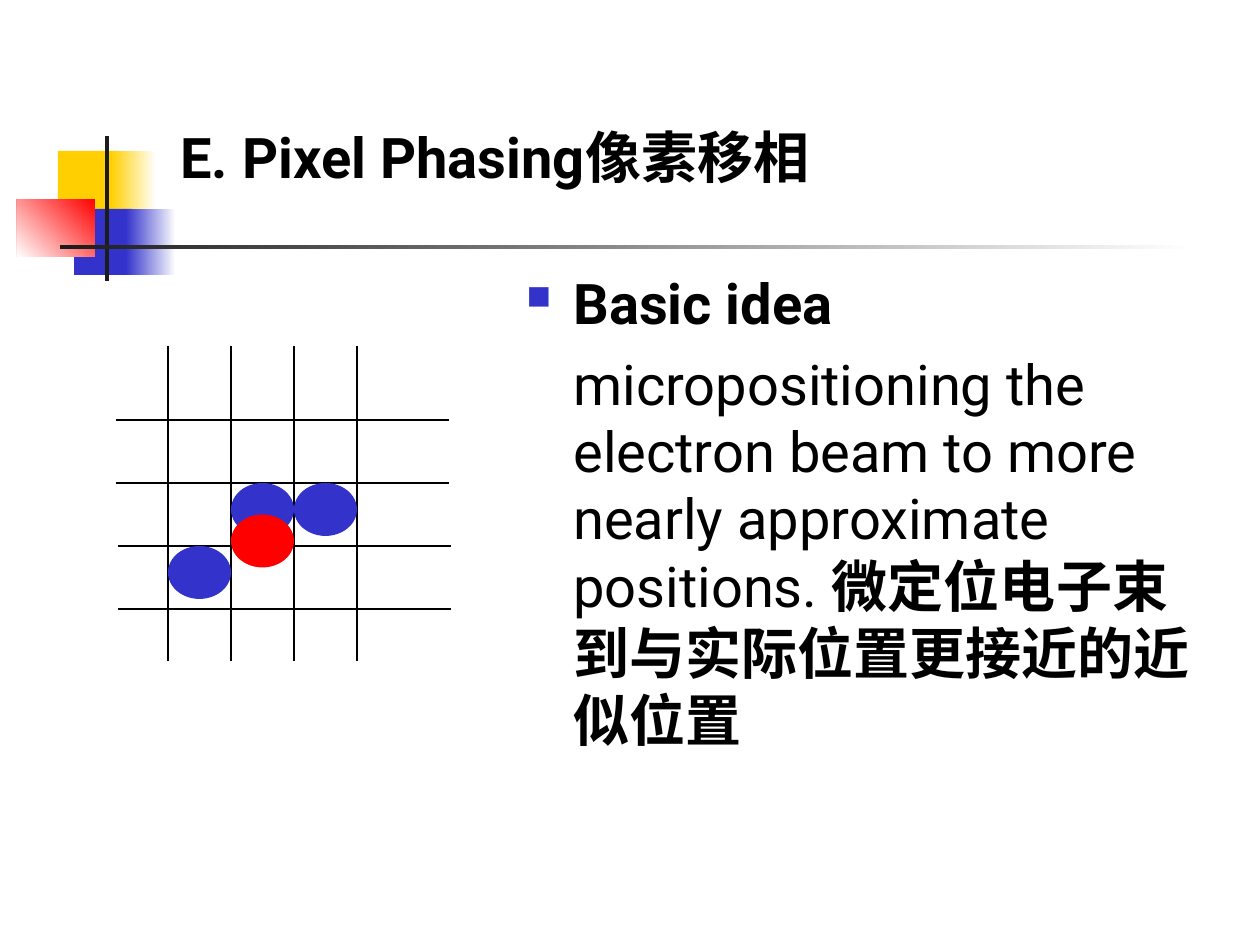
from lxml import etree
from pptx import Presentation
from pptx.dml.color import RGBColor
from pptx.enum.shapes import MSO_CONNECTOR as LINE, MSO_SHAPE as SHAPE
from pptx.enum.text import PP_ALIGN
from pptx.oxml.ns import qn
from pptx.util import Pt

COLORS = {"yellow": "FFCF01", "blue": "3333CC", "red": "FF0000",
          "dark": "1C1C1C", "white": "FFFFFF", "black": "000000"}
FONT = {"name": "Roboto", "size": Pt(32)}

# Content: each paragraph is a list of (text, bold) runs
TITLE = [[("E. Pixel Phasing像素移相", True)]]
BODY = [
    [("Basic idea", True)],
    [("micropositioning the electron beam to more nearly approximate positions. ", False),
     ("微定位电子束到与实际位置更接近的近似位置", True)],
]

# Corner ornament: box in px, colour, gradient angle to white (None is solid)
ORNAMENT = [
    ((58, 151, 60, 66), "yellow", None),
    ((111, 151, 45, 66), "yellow", 0),
    ((74, 209, 58, 66), "blue", None),
    ((126, 209, 50, 66), "blue", 0),
    ((17, 199, 78, 58), "red", 225),
    ((105, 136, 4, 145), "dark", None),
    ((60, 245, 1134, 4), "dark", 0),
]

# Pixel grid, and dots as (column, row, colour) in cells
GRID_X, GRID_Y, CELL, LINES = 168, 420, 63, 4
TOP, BOTTOM, ROW_LEN = 346, 661, 333
ROW_LEFTS = [116, 116, 118, 118]
DOT_H = 53
DOTS = [(0, 2, "blue"), (1, 1, "blue"), (2, 1, "blue"), (1, 1.5, "red")]


def px(value):
    return round(value * 914400 / 126)


def rgb(name):
    return RGBColor.from_string(COLORS[name])


def add_shape(kind, box, color, angle=None):
    sp = slide.shapes.add_shape(kind, *map(px, box))
    sp.shadow.inherit = False
    sp.line.fill.background()
    if angle is None:
        sp.fill.solid()
        sp.fill.fore_color.rgb = rgb(color)
    else:
        sp.fill.gradient()
        sp.fill.gradient_angle = angle
        for stop, name in zip(sp.fill.gradient_stops, (color, "white")):
            stop.color.rgb = rgb(name)


def add_line(*ends):
    line = slide.shapes.add_connector(LINE.STRAIGHT, *map(px, ends))
    line.line.color.rgb = rgb("black")
    line.line.width = Pt(0.75)
    etree.SubElement(line._element.spPr, qn("a:effectLst"))


def add_text(box, paragraphs):
    tf = slide.shapes.add_textbox(*map(px, box)).text_frame
    tf.word_wrap = True
    for i, runs in enumerate(paragraphs):
        p = tf.add_paragraph() if i else tf.paragraphs[0]
        p.alignment = PP_ALIGN.LEFT
        p.space_before = Pt(8 if i else 0)
        for text, bold in runs:
            r = p.add_run()
            r.text = text
            for key, value in {**FONT, "bold": bold}.items():
                setattr(r.font, key, value)
            r.font.color.rgb = rgb("black")
    return tf


def add_bullet(p, color, percent, char):
    pPr = p._p.get_or_add_pPr()
    clr = etree.SubElement(pPr, qn("a:buClr"))
    etree.SubElement(clr, qn("a:srgbClr"), val=COLORS[color])
    etree.SubElement(pPr, qn("a:buSzPct"), val=str(percent * 1000))
    etree.SubElement(pPr, qn("a:buChar"), char=char)


prs = Presentation()
prs.slide_width, prs.slide_height = px(1260), px(945)
slide = prs.slides.add_slide(prs.slide_layouts[6])

# Ornament and title
for box, color, angle in ORNAMENT:
    add_shape(SHAPE.RECTANGLE, box, color, angle)
add_text((168, 116, 766, 81), TITLE)

# Pixel grid
for i, left in enumerate(ROW_LEFTS):
    y = GRID_Y + i * CELL
    add_line(left, y, left + ROW_LEN, y)
for i in range(LINES):
    x = GRID_X + i * CELL
    add_line(x, TOP, x, BOTTOM)

# Dots
for col, row, color in DOTS:
    add_shape(SHAPE.OVAL, (GRID_X + col * CELL, GRID_Y + row * CELL, CELL, DOT_H), color)

# Body: both paragraphs share one left edge, the first has a hanging bullet
body = add_text((514, 262, 693, 577), BODY)
for p in body.paragraphs:
    p._p.get_or_add_pPr().set("marL", str(px(47)))
first = body.paragraphs[0]
first._p.get_or_add_pPr().set("indent", str(-px(47)))
add_bullet(first, "blue", 60, "■")

prs.save("out.pptx")
